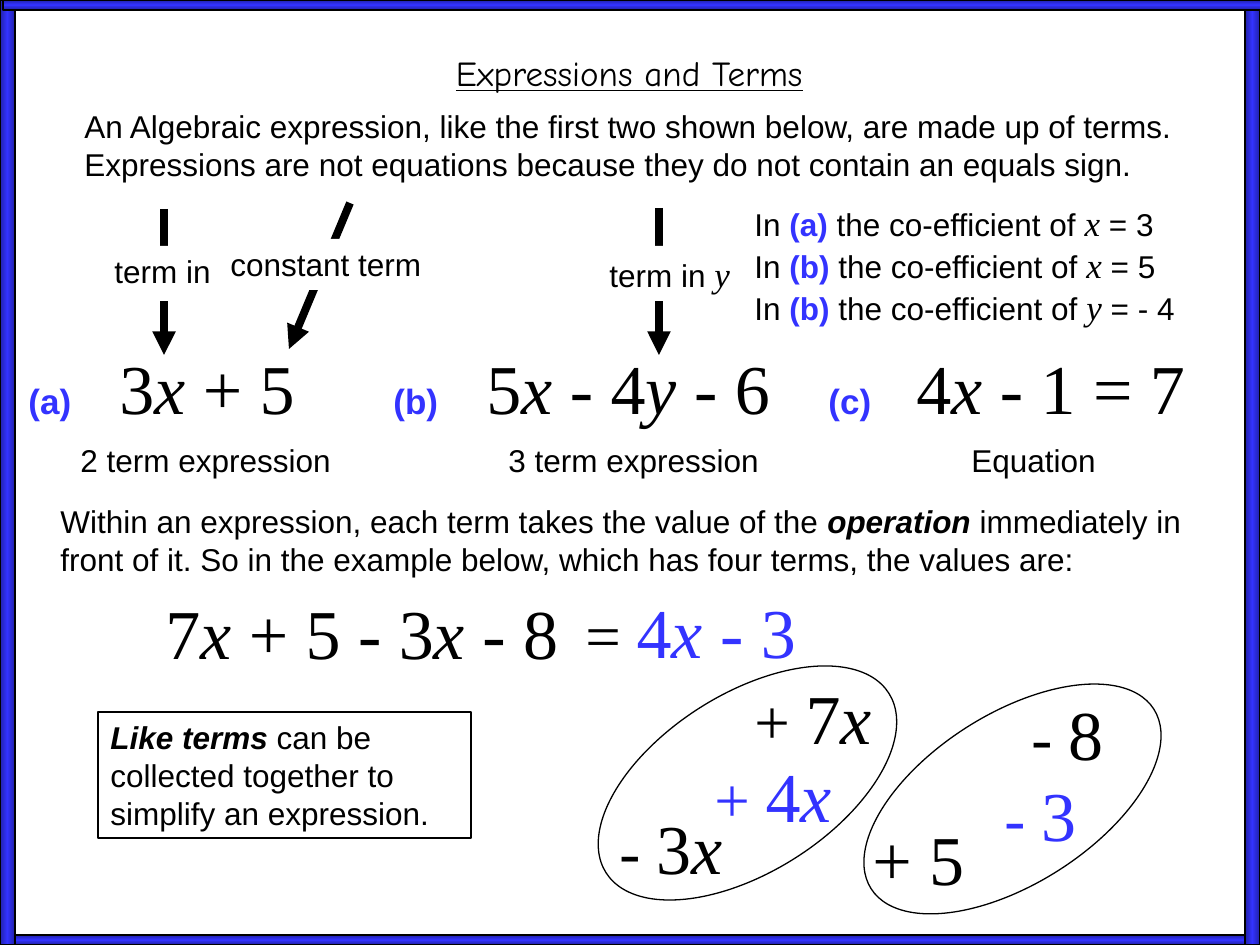
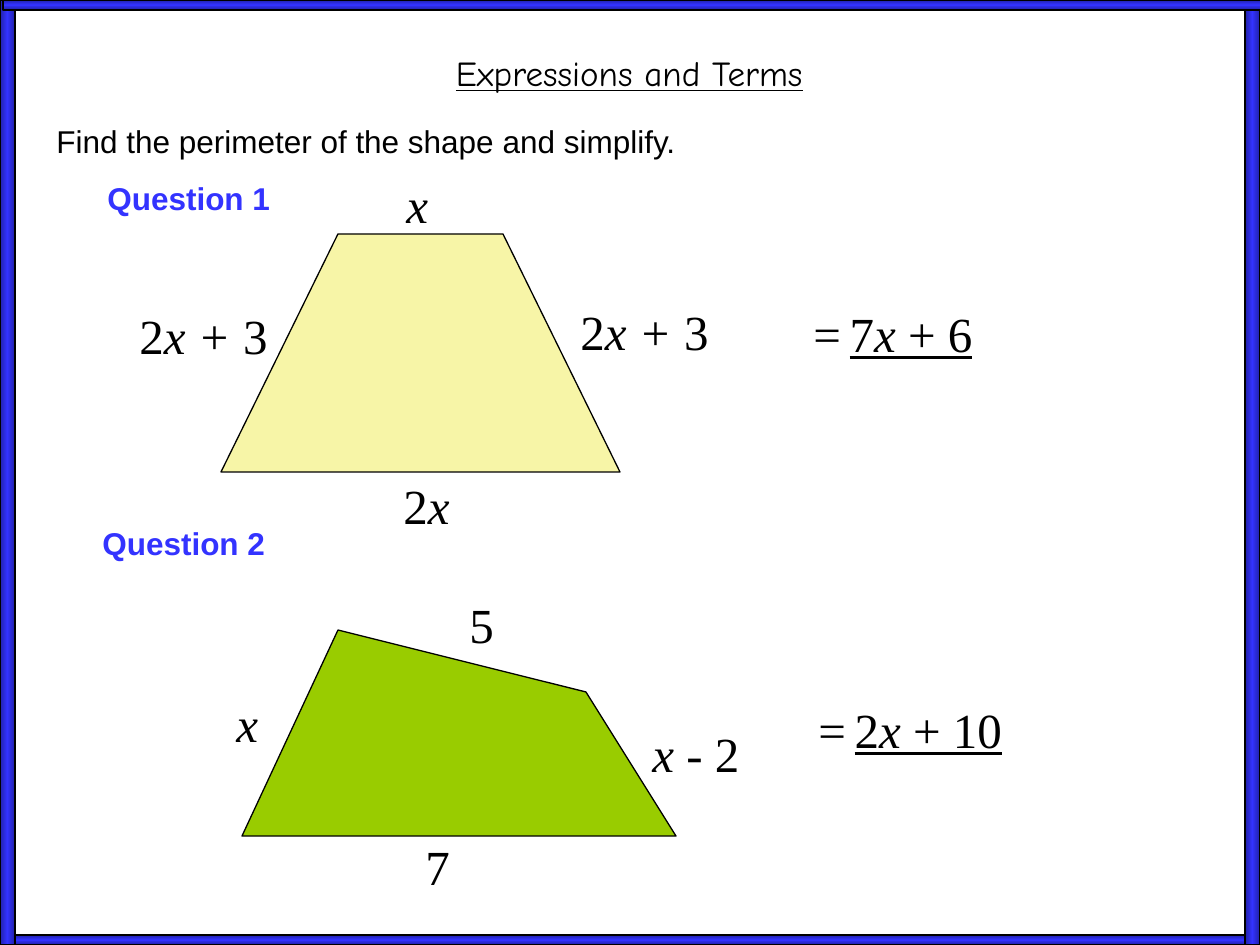
from copy import deepcopy

from lxml import etree
from pptx import Presentation
from pptx.dml.color import RGBColor
from pptx.enum.shapes import MSO_CONNECTOR, MSO_SHAPE
from pptx.enum.text import PP_ALIGN
from pptx.oxml.ns import qn
from pptx.util import Pt

RECT, OVAL = MSO_SHAPE.RECTANGLE, MSO_SHAPE.OVAL
STRAIGHT = MSO_CONNECTOR.STRAIGHT
CENTER = PP_ALIGN.CENTER
PX = 914400 / 126
WIDTH, HEIGHT = 1260, 945


class Theme:
    black, white, blue, navy = "000000", "FFFFFF", "3333FF", "2121A8"
    cream, green = "F7F5A7", "99CC00"
    thin, thick = 0.75, 4.5
    sans, serif, hand = "Arial", "Times New Roman", "Comic Neue"
    styles = {
        "title": dict(size=20, font=hand, underline=True),
        "body": dict(size=18, font=sans),
        "strong": dict(size=18, font=sans, bold=True),
        "heading": dict(size=18, font=sans, bold=True, color=blue),
        "label": dict(size=20, font=sans, bold=True, color=blue),
        "symbol": dict(size=20, font=serif),
        "sign": dict(size=36, font=serif),
        "math": dict(size=40, font=serif),
        "blue sign": dict(size=36, font=serif, color=blue),
        "blue math": dict(size=40, font=serif, color=blue),
        "side": dict(size=28, font=serif),
        "answer": dict(size=28, font=serif, underline=True),
    }


TITLE = "Expressions and Terms"
BANDS = [
    ((0, 935, WIDTH, 10), 90),
    ((0, 0, 15, HEIGHT), 0),
    ((1245, 0, 15, HEIGHT), 0),
    ((3, 0, WIDTH, 10), 90),
]

EXPRESSIONS = [
    ("(a)", "3_x_ + 5", (16, 310), 91, "2 term expression", (68, 290)),
    ("(b)", "5_x_ - 4_y_ - 6", (381, 423), 93, "3 term expression", (496, 290)),
    ("(c)", "4_x_ - 1 = 7", (816, 407), 88, "Equation", (959, 202)),
]
TERM_ARROWS = [
    ((164, 209), (164, 355), (102, 246, 178, 55), [("term in", "body")]),
    ((350, 203), (289, 349), (218, 239, 244, 51), [("constant term", "body")]),
    ((659, 208), (659, 355), (597, 246, 178, 55), [("term in ", "body"), ("_y_", "symbol")]),
]
COEFFICIENTS = [("(a)", "_x_", " = 3\n"), ("(b)", "_x_", " = 5\n"), ("(b)", "_y_", " = - 4")]
PARAGRAPHS = [
    ((72, 101, 1121, 88), [
        ("An Algebraic expression, like the first two shown below, are made up of terms. "
         "Expressions are not equations because they do not contain an equals sign.", "body")]),
    ((48, 496, 1153, 88), [
        ("Within an expression, each term takes the value of the ", "body"),
        ("_operation_", "strong"),
        (" immediately in front of it. So in the example below, which has four terms, "
         "the values are:", "body")]),
]
LIKE_TERMS = [
    ("_Like terms_", "strong"),
    (" can be collected together to simplify an expression.", "body"),
]
WORKING = [
    ((153, 583, 454, 97), [("7_x_ + 5 - 3_x_ - 8", "math")]),
    ((573, 582, 242, 97), [("= ", "sign"), ("4_x_ - 3", "blue math")]),
    ((742, 668, 158, 97), [("+ ", "sign"), ("7_x_", "math")]),
    ((860, 809, 128, 97), [("+ 5", "math")]),
    ((607, 798, 160, 97), [("- ", "sign"), ("3_x_", "math")]),
    ((1019, 684, 160, 97), [("- ", "sign"), ("8", "math")]),
    ((702, 746, 162, 97), [("+ ", "blue sign"), ("4_x_", "blue math")]),
    ((992, 765, 140, 97), [("- ", "blue sign"), ("3", "blue math")]),
]
LIKE_TERM_RINGS = [(580, 694, 335, 178), (845, 714, 335, 170)]
RING_ROTATION = 327.6

TASK = "Find the perimeter of the shape and simplify."
QUESTIONS = [
    dict(
        heading=("Question 1", 95, 173),
        outline=[(221, 472), (620, 472), (503, 234), (338, 234)],
        fill=Theme.cream,
        sides=[("_x_", 394, 168, 78), ("2_x_", 391, 469, 78),
               ("2_x + _3", 568, 295, 190), ("2_x + _3", 127, 299, 190)],
        answer=("7_x_ + 6", 801, 297),
    ),
    dict(
        heading=("Question 2", 90, 518),
        outline=[(676, 836), (242, 836), (338, 630), (586, 692)],
        fill=Theme.green,
        sides=[("_x_", 224, 687, 78), ("_x _- 2", 640, 717, 134),
               ("5", 457, 588, 60), ("7", 413, 830, 60)],
        answer=("2_x_ + 10", 806, 693),
    ),
]


def emu(*lengths):
    return [round(length * PX) for length in lengths]


def rgb(color):
    return RGBColor.from_string(color)


def outline(s, width=Theme.thin):
    s.line.color.rgb = rgb(Theme.black)
    s.line.width = Pt(width)


def add_run(p, text, italic=False, size=18, font=Theme.sans, color=Theme.black,
            bold=False, underline=False):
    r = p.add_run()
    r.text = text
    f = r.font
    f.size, f.name, f.bold, f.italic, f.underline = Pt(size), font, bold, italic, underline
    f.color.rgb = rgb(color)


def add_text(slide, box, runs, align=None, fill=None, border=False, tab=None):
    """Underscores in a run switch italics on and off; a newline breaks the line."""
    s = slide.shapes.add_textbox(*emu(*box))
    if fill:
        s.fill.solid()
        s.fill.fore_color.rgb = rgb(fill)
    if border:
        outline(s)
    tf = s.text_frame
    tf.word_wrap = True
    p = tf.paragraphs[0]
    if tab:
        tabs = etree.SubElement(p._p.get_or_add_pPr(), qn("a:tabLst"))
        etree.SubElement(tabs, qn("a:tab"), pos=str(emu(tab)[0]), algn="l")
    if align is not None:
        p.alignment = align
    for markup, style in runs:
        for i, part in enumerate(markup.split("_")):
            for j, line in enumerate(part.split("\n")):
                if j:
                    p.add_line_break()
                if line:
                    add_run(p, line, italic=i % 2 == 1, **Theme.styles[style])


def add_band(slide, box, angle):
    s = slide.shapes.add_shape(RECT, *emu(*box))
    s.shadow.inherit = False
    outline(s)
    s.fill.gradient()
    s.fill.gradient_angle = angle
    stops = s._element.spPr.find(qn("a:gradFill")).find(qn("a:gsLst"))
    stops.append(deepcopy(stops[0]))
    colors = (Theme.navy, Theme.blue, Theme.navy)
    for i, (stop, color) in enumerate(zip(s.fill.gradient_stops, colors)):
        stop.position = i / 2
        stop.color.rgb = rgb(color)


def add_arrow(slide, start, end):
    s = slide.shapes.add_connector(STRAIGHT, *emu(*start, *end))
    outline(s, Theme.thick)
    etree.SubElement(s.line._get_or_add_ln(), qn("a:tailEnd"), type="triangle")
    etree.SubElement(s._element.spPr, qn("a:effectLst"))


def add_ring(slide, box):
    s = slide.shapes.add_shape(OVAL, *emu(*box))
    s.shadow.inherit = False
    s.rotation = RING_ROTATION
    s.fill.background()
    outline(s)


def add_polygon(slide, points, fill):
    builder = slide.shapes.build_freeform(*points[0], scale=PX)
    builder.add_line_segments(points[1:], close=True)
    s = builder.convert_to_shape()
    s.shadow.inherit = False
    s.fill.solid()
    s.fill.fore_color.rgb = rgb(fill)
    outline(s)


def add_slide(prs):
    slide = prs.slides.add_slide(prs.slide_layouts[6])
    for box, angle in BANDS:
        add_band(slide, box, angle)
    add_text(slide, (290, 45, 679, 55), [(TITLE, "title")], align=CENTER)
    return slide


def build_terms(prs):
    slide = add_slide(prs)
    for box, runs in PARAGRAPHS:
        add_text(slide, box, runs)
    for label, expression, (x, w), tab, caption, (caption_x, caption_w) in EXPRESSIONS:
        add_text(slide, (x, 338, w, 97), [(label + "\t", "label"), (expression, "math")], tab=tab)
        add_text(slide, (caption_x, 435, caption_w, 50), [(caption, "body")])
    for start, end, box, runs in TERM_ARROWS:
        add_arrow(slide, start, end)
        add_text(slide, box, runs, fill=Theme.white)
    coefficient_runs = []
    for label, symbol, value in COEFFICIENTS:
        coefficient_runs += [("In ", "body"), (label, "heading"),
                             (" the co-efficient of ", "body"),
                             (symbol, "symbol"), (value, "body")]
    add_text(slide, (742, 195, 452, 139), coefficient_runs)
    add_text(slide, (98, 712, 373, 126), LIKE_TERMS, border=True)
    for box in LIKE_TERM_RINGS:
        add_ring(slide, box)
    for box, runs in WORKING:
        add_text(slide, box, runs)


def build_perimeters(prs):
    slide = add_slide(prs)
    add_text(slide, (44, 116, 682, 50), [(TASK, "body")])
    for question in QUESTIONS:
        heading, x, y = question["heading"]
        add_text(slide, (x, y, 206, 50), [(heading, "heading")])
        add_polygon(slide, question["outline"], question["fill"])
        for side, x, y, w in question["sides"]:
            add_text(slide, (x, y, w, 72), [(side, "side")])
        answer, x, y = question["answer"]
        add_text(slide, (x, y, 217, 72), [("=", "side"), (" ", "strong"), (answer, "answer")])


def main():
    prs = Presentation()
    prs.slide_width, prs.slide_height = emu(WIDTH, HEIGHT)
    build_terms(prs)
    build_perimeters(prs)
    prs.save("out.pptx")


if __name__ == "__main__":
    main()
